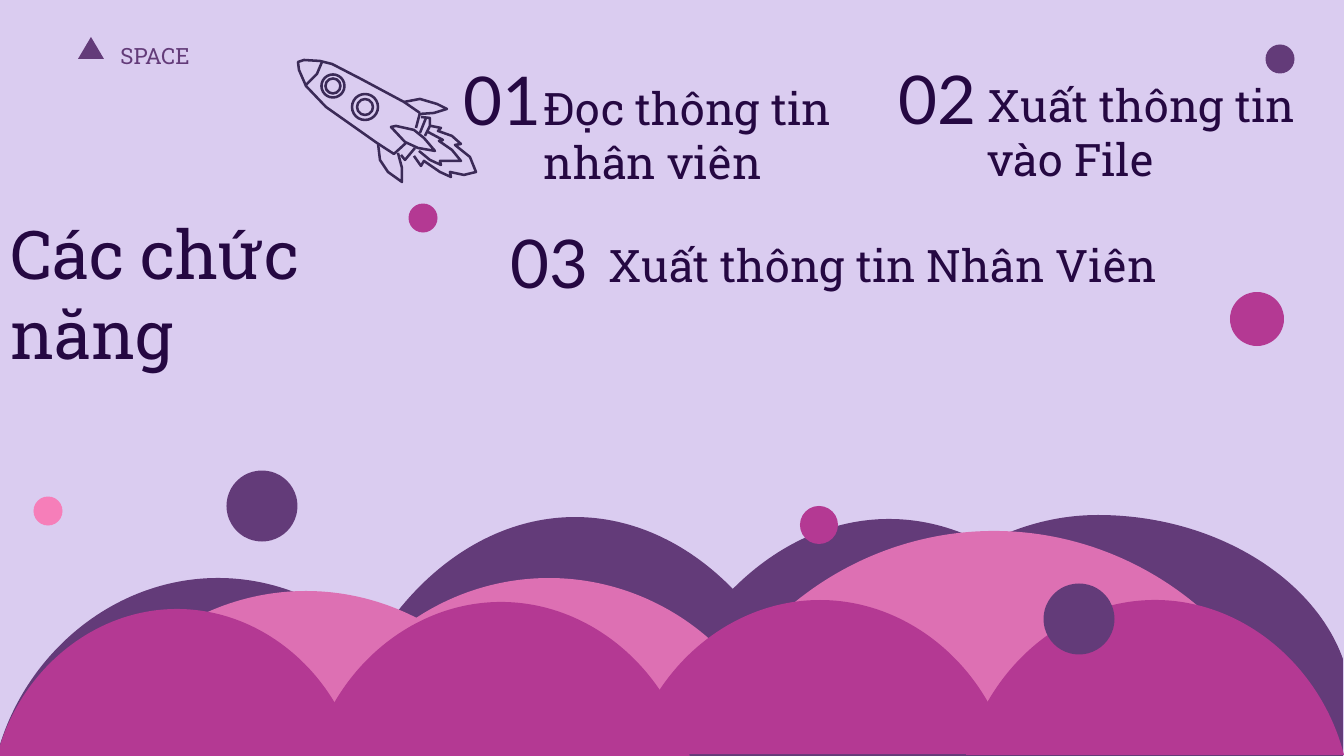
from dataclasses import dataclass

from lxml.etree import Element
from pptx import Presentation
from pptx.dml.color import RGBColor
from pptx.enum.shapes import MSO_SHAPE
from pptx.enum.text import MSO_ANCHOR, MSO_AUTO_SIZE, PP_ALIGN
from pptx.oxml.ns import qn
from pptx.util import Emu, Pt

EMU_PER_PX = 914400 / 100.8
SLIDE_WIDTH, SLIDE_HEIGHT = 1344, 756


@dataclass(frozen=True)
class Theme:
    lavender: str = "DACCF0"
    ink: str = "250842"
    violet: str = "633B79"
    magenta: str = "B43993"
    rose: str = "DD70B3"
    pink: str = "F67EB9"
    rocket: str = "3B2A57"
    slab: str = "Roboto Slab"
    sans: str = "Lato"
    heading: int = 48
    item: int = 32
    label: int = 16
    rocket_line: float = 1.8


THEME = Theme()

CLOUDS = [
    (575, 517, 244, 755, THEME.violet),
    (218, 578, 221, 755, THEME.violet),
    (889, 519, 244, 756, THEME.violet),
    (1098, 515, 270, 756, THEME.violet, 245, 659),
    (994, 531, 300, 753, THEME.rose),
    (1155, 600, 189, 755, THEME.magenta),
    (306, 591, 229, 759, THEME.rose),
    (177, 609, 180, 756, THEME.magenta),
    (549, 578, 229, 746, THEME.rose),
    (501, 602, 189, 757, THEME.magenta),
    (820, 600, 189, 754, THEME.magenta),
]

PLANETS = [
    (1079, 619, 71, THEME.violet),
    (262, 506, 71, THEME.violet),
    (423, 218, 29, THEME.magenta),
    (48, 511, 29, THEME.pink),
    (1280, 59, 29, THEME.violet),
    (1257, 319, 54, THEME.magenta),
    (819, 525, 38, THEME.magenta),
]

FUNCTIONS = [
    ("01", (454, 53), "Đọc thông tin nhân viên", (534, 76, 372, 119)),
    ("02", (889, 52), "Xuất thông tin vào File", (978, 73, 372, 119)),
    ("03", (501, 216), "Xuất thông tin Nhân Viên", (599, 233, 646, 65)),
]

ROCKET_STROKES = [
    [(420, 113), (404, 102), (361, 79), (332, 64), (320, 61), (304, 60), (298, 62),
     (299, 70), (306, 86), (326, 107), (377, 143), (394, 154), (406, 143)],
    [(322, 62), (317, 74), (306, 85)],
    [(416, 128), (420, 113)],
    [(404, 102), (420, 99), (437, 104), (447, 109), (434, 113), (420, 114)],
    [(378, 143), (380, 160), (388, 172), (402, 182), (402, 168), (398, 153)],
    [(391, 127), (396, 126), (414, 130), (424, 138), (435, 151),
     (418, 148), (405, 142), (391, 127)],
    [(421, 117), (430, 118), (430, 126), (425, 136)],
    [(426, 118), (420, 133)],
    [(401, 155), (405, 160), (415, 148)],
    [(431, 126), (441, 128), (438, 131), (452, 136), (461, 144), (455, 145),
     (470, 157), (476, 172), (464, 175), (450, 172), (451, 177), (440, 172),
     (424, 161), (421, 166), (414, 156)],
    [(428, 132), (443, 140), (439, 141), (452, 150), (461, 161),
     (440, 161), (441, 165), (430, 160), (419, 151)],
]

PORTHOLES = [(333, 86, 15), (333, 86, 23), (365, 107, 16), (365, 107, 26)]


def px(length):
    return Emu(round(length * EMU_PER_PX))


def px_points(points):
    return [(px(x), px(y)) for x, y in points]


def rgb(color):
    return RGBColor.from_string(color)


def fill_plain(shape, color):
    shape.shadow.inherit = False
    shape.fill.solid()
    shape.fill.fore_color.rgb = rgb(color)
    shape.line.fill.background()


def outline(shape):
    shape.shadow.inherit = False
    shape.fill.background()
    shape.line.color.rgb = rgb(THEME.rocket)
    shape.line.width = Pt(THEME.rocket_line)


def bend(segment, controls):
    segment.tag = qn("a:cubicBezTo")
    for position, (x, y) in enumerate(px_points(controls)):
        segment.insert(position, Element(qn("a:pt"), x=str(x), y=str(y)))


def add_cloud(slide, center, top, half_width, bottom, color, right=None, shoulder=None):
    right, shoulder = right or half_width, shoulder or bottom
    left_rise, right_rise = bottom - top, shoulder - top
    builder = slide.shapes.build_freeform(px(center - half_width), px(bottom))
    builder.add_line_segments(px_points([
        (center, top), (center + right, shoulder), (center + right, bottom)]))
    cloud = builder.convert_to_shape()
    rise, fall = list(cloud.element.iter(qn("a:lnTo")))[:2]
    bend(rise, [(0.12 * half_width, 0.43 * left_rise), (0.53 * half_width, 0)])
    bend(fall, [(half_width + 0.47 * right, 0),
                (half_width + 0.88 * right, 0.43 * right_rise)])
    fill_plain(cloud, color)


def add_circle(shapes, center_x, center_y, diameter):
    return shapes.add_shape(MSO_SHAPE.OVAL, px(center_x - diameter / 2),
                            px(center_y - diameter / 2), px(diameter), px(diameter))


def add_rocket(slide):
    rocket = slide.shapes.add_group_shape().shapes
    strokes = [px_points(stroke) for stroke in ROCKET_STROKES]
    hull, *details = strokes
    builder = rocket.build_freeform(*hull[0])
    builder.add_line_segments(hull[1:], close=False)
    for detail in details:
        builder.move_to(*detail[0])
        builder.add_line_segments(detail[1:], close=False)
    outline(builder.convert_to_shape())
    for porthole in PORTHOLES:
        outline(add_circle(rocket, *porthole))


def write_text(holder, text, font_name, size, color, align=PP_ALIGN.LEFT):
    frame = holder.text_frame
    frame.text = text
    frame.word_wrap = True
    frame.auto_size = MSO_AUTO_SIZE.NONE
    frame.vertical_anchor = MSO_ANCHOR.TOP
    paragraph = frame.paragraphs[0]
    paragraph.alignment = align
    font = paragraph.runs[0].font
    font.name, font.size = font_name, Pt(size)
    font.color.rgb = rgb(color)


def add_text(slide, box, *style):
    write_text(slide.shapes.add_textbox(*map(px, box)), *style)


def add_title(slide, text):
    title = slide.shapes.title
    title.left, title.top, title.width, title.height = map(px, (0, 207, 423, 173))
    write_text(title, text, THEME.slab, THEME.heading, THEME.ink)


def add_function(slide, number, corner, text, box):
    add_text(slide, (*corner, 133, 92), number, THEME.sans, THEME.heading, THEME.ink)
    add_text(slide, box, text, THEME.slab, THEME.item, THEME.ink)


def add_label(slide):
    add_text(slide, (103, 37, 104, 37), "SPACE", THEME.slab, THEME.label,
             THEME.violet, PP_ALIGN.CENTER)
    marker = slide.shapes.add_shape(MSO_SHAPE.ISOSCELES_TRIANGLE,
                                    *map(px, (78, 37, 26, 22)))
    fill_plain(marker, THEME.violet)


def main():
    deck = Presentation()
    deck.slide_width, deck.slide_height = px(SLIDE_WIDTH), px(SLIDE_HEIGHT)
    slide = deck.slides.add_slide(deck.slide_layouts[5])
    slide.background.fill.solid()
    slide.background.fill.fore_color.rgb = rgb(THEME.lavender)
    for cloud in CLOUDS:
        add_cloud(slide, *cloud)
    add_title(slide, "Các chức năng")
    add_label(slide)
    for *place, color in PLANETS:
        fill_plain(add_circle(slide.shapes, *place), color)
    add_rocket(slide)
    for function in FUNCTIONS:
        add_function(slide, *function)
    deck.save("out.pptx")


if __name__ == "__main__":
    main()
